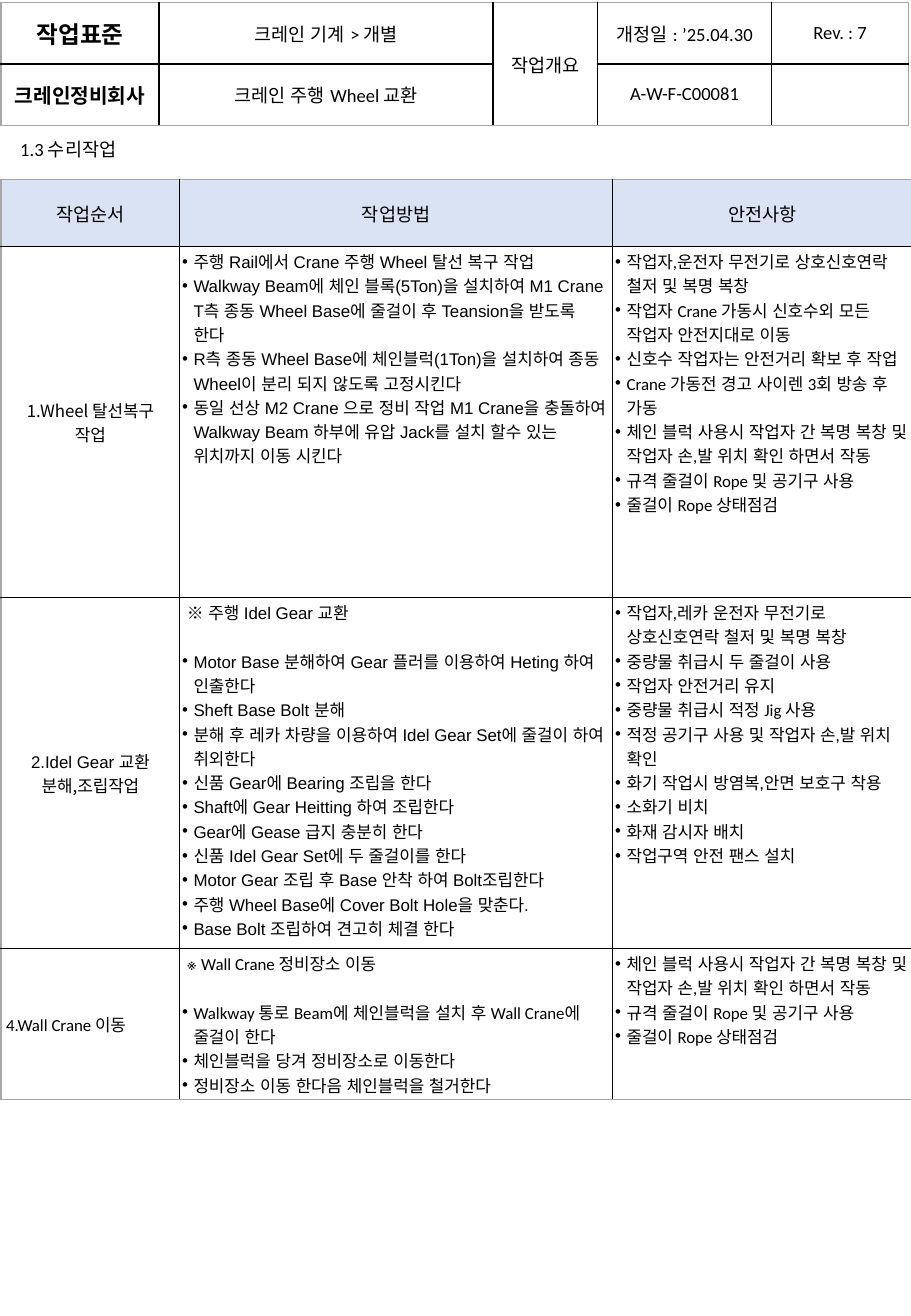
from lxml import etree
from pptx import Presentation
from pptx.dml.color import RGBColor
from pptx.enum.lang import MSO_LANGUAGE_ID
from pptx.enum.text import MSO_ANCHOR, PP_ALIGN
from pptx.oxml.ns import qn
from pptx.util import Pt

CENTER, LEFT = PP_ALIGN.CENTER, PP_ALIGN.LEFT
MIDDLE, TOP = MSO_ANCHOR.MIDDLE, MSO_ANCHOR.TOP
KOREAN = MSO_LANGUAGE_ID.KOREAN

COLORS = {"text": "000000", "inner": "000000", "outer": "A6A6A6", "heading": "DAE3F3"}
SANS, ARIAL, NOTO = "Calibri", "Arial", "Noto Sans CJK KR"

SECTION = "1.3 수리작업"
TITLE_ROWS = [
    ["작업표준", "크레인 기계 > 개별", "작업개요", "개정일 : ’25.04.30", "Rev. : 7"],
    ["크레인정비회사", "크레인 주행 Wheel 교환", "", "A-W-F-C00081", ""],
]
HEADINGS = ["작업순서", "작업방법", "안전사항"]
STEPS = [
    {
        "label": [("1.Wheel 탈선복구", NOTO), ("작업", NOTO)],
        "align": CENTER,
        "note": [],
        "method_font": ARIAL,
        "method": [
            "주행 Rail에서 Crane 주행 Wheel 탈선 복구 작업",
            "Walkway Beam에 체인 블록(5Ton)을 설치하여 M1 Crane T측 종동 Wheel Base에 줄걸이 후 Teansion을 받도록 한다",
            "R측 종동 Wheel Base에 체인블럭(1Ton)을 설치하여 종동Wheel이 분리 되지 않도록 고정시킨다",
            "동일 선상 M2 Crane 으로 정비 작업 M1 Crane을 충돌하여 Walkway Beam 하부에 유압 Jack를 설치 할수 있는 위치까지 이동 시킨다",
        ],
        "safety": [
            "작업자,운전자 무전기로 상호신호연락 철저 및 복명 복창",
            "작업자 Crane 가동시 신호수외 모든 작업자 안전지대로 이동",
            "신호수 작업자는 안전거리 확보 후 작업",
            "Crane 가동전 경고 사이렌 3회 방송 후 가동",
            "체인 블럭 사용시 작업자 간 복명 복창 및 작업자 손,발 위치 확인 하면서 작동",
            "규격 줄걸이 Rope 및 공기구 사용",
            "줄걸이 Rope 상태점검",
        ],
    },
    {
        "label": [("2.Idel Gear 교환", ARIAL), ("분해,조립작업", NOTO)],
        "align": CENTER,
        "note": [("※ 주행 Idel Gear 교환", ARIAL)],
        "method_font": ARIAL,
        "method": [
            "Motor Base 분해하여 Gear 플러를 이용하여 Heting 하여 인출한다",
            "Sheft Base Bolt 분해",
            "분해 후 레카 차량을 이용하여 Idel Gear Set에 줄걸이 하여 취외한다",
            "신품 Gear에 Bearing 조립을 한다",
            "Shaft에 Gear Heitting 하여 조립한다",
            "Gear에 Gease 급지 충분히 한다",
            "신품 Idel Gear Set에 두 줄걸이를 한다",
            "Motor Gear 조립 후 Base 안착 하여 Bolt조립한다",
            "주행 Wheel Base에 Cover Bolt Hole을 맞춘다.",
            "Base Bolt 조립하여 견고히 체결 한다",
        ],
        "safety": [
            "작업자,레카 운전자 무전기로 상호신호연락 철저 및 복명 복창",
            "중량물 취급시 두 줄걸이 사용",
            "작업자 안전거리 유지",
            "중량물 취급시 적정 Jig 사용",
            "적정 공기구 사용 및 작업자 손,발 위치 확인",
            "화기 작업시 방염복,안면 보호구 착용",
            "소화기 비치",
            "화재 감시자 배치",
            "작업구역 안전 팬스 설치",
        ],
    },
    {
        "label": [("4.Wall Crane 이동", SANS)],
        "align": LEFT,
        "note": [("※ ", ARIAL), ("Wall Crane 정비장소 이동", SANS)],
        "method_font": SANS,
        "method": [
            "Walkway 통로 Beam에 체인블럭을 설치 후 Wall Crane에 줄걸이 한다",
            "체인블럭을 당겨 정비장소로 이동한다",
            "정비장소 이동 한다음 체인블럭을 철거한다",
        ],
        "safety": [
            "체인 블럭 사용시 작업자 간 복명 복창 및 작업자 손,발 위치 확인 하면서 작동",
            "규격 줄걸이 Rope 및 공기구 사용",
            "줄걸이 Rope 상태점검",
        ],
    },
]

SLIDE_WIDTH, SLIDE_HEIGHT = 540, 779.76
EDGE = 0.72
TITLE_TOP, SECTION_TOP, STEPS_TOP = 1.44, 78.5, 106.5
TITLE_COLUMNS, TITLE_HEIGHTS = [93.6, 198, 62, 103, 81.4], [36.4, 36.4]
STEP_COLUMNS, STEP_HEIGHTS = [105.8, 256.7, 177.6], [39.7, 208, 208, 82]
BULLET_INDENT, NOTE_INDENT, NOTE_GAP = 6.8, 2.8, 14.4
LABEL_INSET, LIST_INSET = 2.88, 1.44


def write_runs(paragraph, runs, size, align=LEFT, bold=False):
    paragraph.alignment = align
    style = {"size": Pt(size), "bold": bold, "language_id": KOREAN}
    for text, font_name in runs:
        run = paragraph.add_run()
        run.text = text
        for key, value in {**style, "name": font_name}.items():
            setattr(run.font, key, value)
        run.font.color.rgb = RGBColor.from_string(COLORS["text"])


def indent(paragraph, left, first):
    properties = paragraph._p.get_or_add_pPr()
    properties.set("marL", str(Pt(left)))
    properties.set("indent", str(Pt(first)))
    return properties


def add_bullet(paragraph):
    properties = indent(paragraph, BULLET_INDENT, -BULLET_INDENT)
    etree.SubElement(properties, qn("a:buFont")).set("typeface", ARIAL)
    etree.SubElement(properties, qn("a:buChar")).set("char", "•")


def next_paragraph(frame):
    first = frame.paragraphs[0]
    return frame.add_paragraph() if first.runs else first


def set_inset(cell, inset, anchor):
    for side in ("left", "right", "top", "bottom"):
        setattr(cell, f"margin_{side}", Pt(inset))
    cell.vertical_anchor = anchor


def draw_borders(cell, outer_sides):
    properties = cell._tc.get_or_add_tcPr()
    for side, outer in zip("LRTB", outer_sides):
        line = etree.SubElement(properties, qn(f"a:ln{side}"))
        line.set("w", str(Pt(1)))
        fill = etree.SubElement(line, qn("a:solidFill"))
        color = COLORS["outer" if outer else "inner"]
        etree.SubElement(fill, qn("a:srgbClr")).set("val", color)


def add_grid(slide, top, columns, heights, merges=()):
    last_row, last_column = len(heights), len(columns)
    grid = slide.shapes.add_table(
        last_row, last_column, Pt(EDGE), Pt(top), Pt(sum(columns)), Pt(sum(heights))
    ).table
    grid.first_row = grid.horz_banding = False
    for column, width in zip(grid.columns, columns):
        column.width = Pt(width)
    for row, height in zip(grid.rows, heights):
        row.height = Pt(height)
    for start, end in merges:
        grid.cell(*start).merge(grid.cell(*end))
    for r in range(last_row):
        for c in range(last_column):
            cell = grid.cell(r, c)
            bottom = r + cell.span_height == last_row
            draw_borders(cell, (c == 0, c == last_column - 1, r == 0, bottom))
            cell.fill.background()
            cell.vertical_anchor = MIDDLE
    return grid


def write_list(cell, note, items, font_name):
    set_inset(cell, LIST_INSET, TOP)
    if note:
        paragraph = next_paragraph(cell.text_frame)
        write_runs(paragraph, note, 10)
        paragraph.space_after = Pt(NOTE_GAP)
        indent(paragraph, NOTE_INDENT, 0)
    for item in items:
        paragraph = next_paragraph(cell.text_frame)
        write_runs(paragraph, [(item, font_name)], 10)
        add_bullet(paragraph)


def main():
    deck = Presentation()
    deck.slide_width, deck.slide_height = Pt(SLIDE_WIDTH), Pt(SLIDE_HEIGHT)
    slide = deck.slides.add_slide(deck.slide_layouts[6])

    title = add_grid(slide, TITLE_TOP, TITLE_COLUMNS, TITLE_HEIGHTS, [((0, 2), (1, 2))])
    for r, row in enumerate(TITLE_ROWS):
        for c, text in enumerate(row):
            if text:
                size = (14, 12)[r] if c == 0 else 11
                paragraph = title.cell(r, c).text_frame.paragraphs[0]
                write_runs(paragraph, [(text, SANS)], size, CENTER, c == 0)

    steps = add_grid(slide, STEPS_TOP, STEP_COLUMNS, STEP_HEIGHTS)
    for c, heading in enumerate(HEADINGS):
        cell = steps.cell(0, c)
        cell.fill.solid()
        cell.fill.fore_color.rgb = RGBColor.from_string(COLORS["heading"])
        write_runs(cell.text_frame.paragraphs[0], [(heading, SANS)], 11, CENTER)
    for r, step in enumerate(STEPS, 1):
        label = steps.cell(r, 0)
        set_inset(label, LABEL_INSET, MIDDLE)
        for line in step["label"]:
            write_runs(next_paragraph(label.text_frame), [line], 10, step["align"])
        write_list(steps.cell(r, 1), step["note"], step["method"], step["method_font"])
        write_list(steps.cell(r, 2), [], step["safety"], SANS)

    section = slide.shapes.add_textbox(0, Pt(SECTION_TOP), Pt(SLIDE_WIDTH), Pt(21.6)).text_frame
    section.word_wrap = True
    section.margin_left = Pt(12)
    write_runs(section.paragraphs[0], [(SECTION, SANS)], 11)

    deck.save("out.pptx")


if __name__ == "__main__":
    main()
